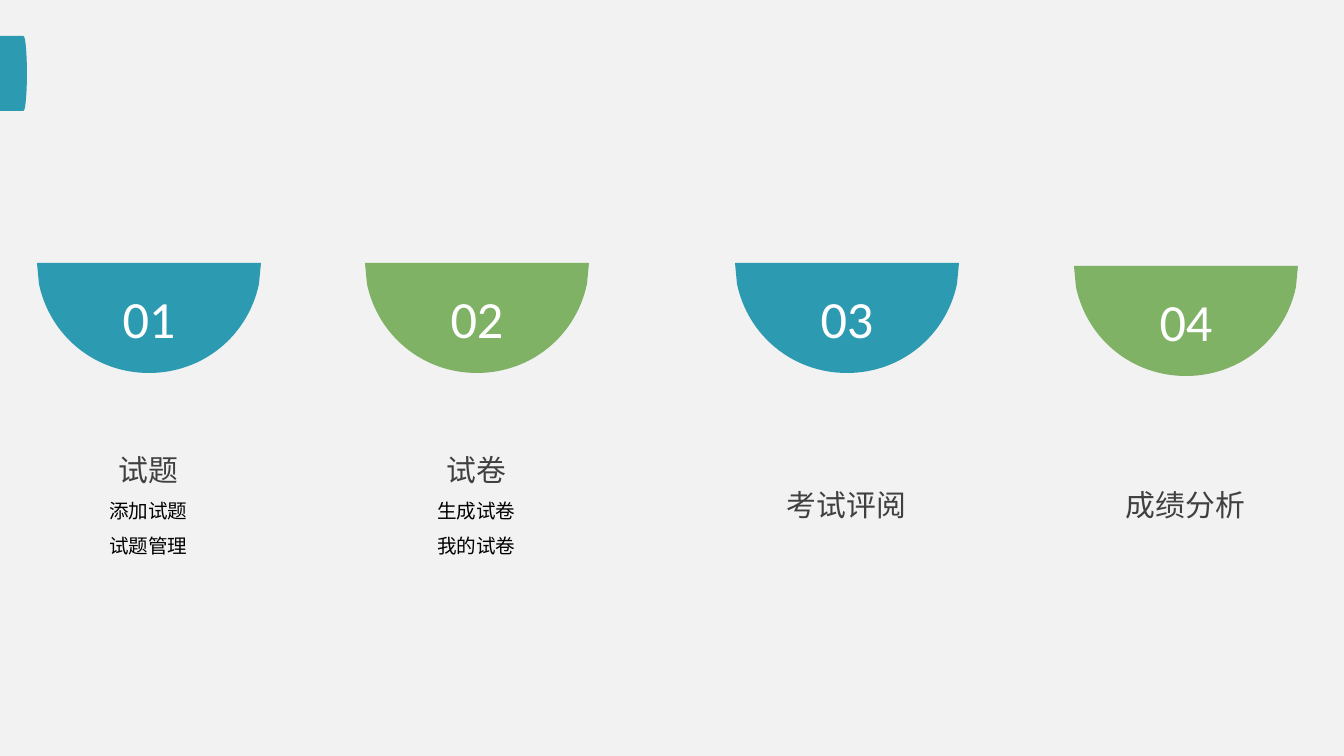
import lxml.etree
import pptx
import pptx.dml.color
import pptx.enum.shapes
import pptx.enum.text
import pptx.oxml.ns
import pptx.util

TEAL = "2C9AB1"
GREEN = "7FB265"
SCALE = 914400 / 134.4  # EMU in one px


def px(length):
    return pptx.util.Emu(round(length * SCALE))


def paint(target, colour):
    """Fill a shape, without outline or shadow, or colour a font."""
    if hasattr(target, "shadow"):
        target.shadow.inherit = False
        target.line.fill.background()
    target.fill.solid()
    target.fill.fore_color.rgb = pptx.dml.color.RGBColor.from_string(colour)


deck = pptx.Presentation()
deck.slide_width, deck.slide_height = px(1344), px(756)
page = deck.slides.add_slide(deck.slide_layouts[6])
paint(page.background, "F2F2F2")

# Tab on the left edge
kinds = pptx.enum.shapes.MSO_SHAPE
for kind, left, width in [(kinds.RECTANGLE, 0, 23), (kinds.OVAL, 20, 7)]:
    tab = page.shapes.add_shape(kind, px(left), px(36), px(width), px(75))
    paint(tab, TEAL)

# Bowl corners, and the control points of its two mirrored curves
corners = [(224, 0), (222, 21), (112, 110), (2, 21)]
curves = [[(211, 73), (166, 110)], [(58, 110), (13, 73)]]

# Numbered bowls with their captions
columns = [
    (37, 263, TEAL, "01", ["试题", "添加试题", "试题管理"]),
    (365, 263, GREEN, "02", ["试卷", "生成试卷", "我的试卷"]),
    (735, 263, TEAL, "03", ["考试评阅"]),
    (1074, 266, GREEN, "04", ["成绩分析"]),
]
for left, top, colour, number, lines in columns:
    builder = page.shapes.build_freeform(px(left), px(top))
    builder.add_line_segments([(px(left + x), px(top + y)) for x, y in corners])
    bowl = builder.convert_to_shape()
    # The last two sides before the closing one become curves
    sides = list(bowl._element.iter(pptx.oxml.ns.qn("a:lnTo")))
    for side, controls in zip(sides[2:4], curves):
        side.tag = pptx.oxml.ns.qn("a:cubicBezTo")
        for index, (x, y) in enumerate(controls):
            point = lxml.etree.Element(pptx.oxml.ns.qn("a:pt"),
                                       x=str(int(px(x))), y=str(int(px(y))))
            side.insert(index, point)
    paint(bowl, colour)
    bowl.text_frame.vertical_anchor = pptx.enum.text.MSO_ANCHOR.MIDDLE
    para = bowl.text_frame.paragraphs[0]
    para.text = number
    para.alignment = pptx.enum.text.PP_ALIGN.CENTER
    para.font.name = "Calibri"
    para.font.size = pptx.util.Pt(28)
    paint(para.font, "FFFFFF")

    # Heading, then smaller items
    box = page.shapes.add_textbox(px(left - 55), px(409), px(333), px(191))
    frame = box.text_frame
    frame.word_wrap = True
    frame.vertical_anchor = pptx.enum.text.MSO_ANCHOR.MIDDLE
    frame.text = "\n".join(lines)
    for index, para in enumerate(frame.paragraphs):
        para.alignment = pptx.enum.text.PP_ALIGN.CENTER
        if index:
            para.line_spacing = 1.5
        para.font.name = "Noto Sans CJK SC"
        para.font.size = pptx.util.Pt(10.5 if index else 16)
        paint(para.font, "000000" if index else "404040")
        # Chinese glyphs take the East Asian typeface
        defaults = para._p.pPr.find(pptx.oxml.ns.qn("a:defRPr"))
        lxml.etree.SubElement(defaults, pptx.oxml.ns.qn("a:ea"),
                              typeface="Noto Sans CJK SC")

deck.save("out.pptx")
